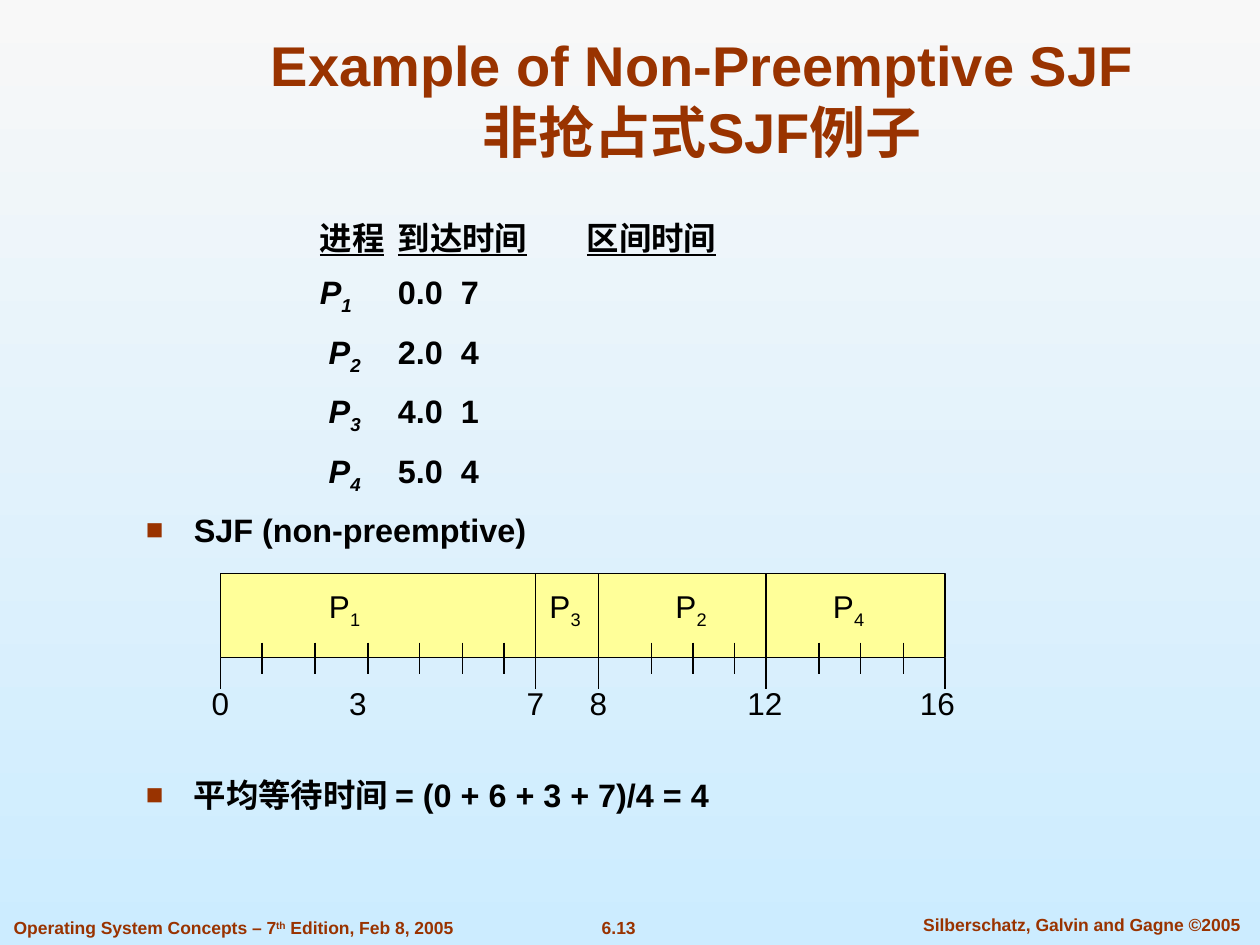
from lxml import etree
from pptx import Presentation
from pptx.dml.color import RGBColor
from pptx.enum.shapes import MSO_CONNECTOR, MSO_SHAPE
from pptx.enum.text import MSO_ANCHOR, MSO_AUTO_SIZE, PP_ALIGN
from pptx.oxml import parse_xml
from pptx.oxml.ns import nsdecls, qn
from pptx.util import Inches, Pt

BROWN, BLACK, YELLOW = "993300", "000000", "FFFF99"
color = RGBColor.from_string


def write(para, text, size, tint=BLACK, bold=False, shift=-25000):
    """Style a paragraph and fill it; every second piece between bars is raised or lowered."""
    font = para.font
    font.name, font.size, font.bold = "Arial", Pt(size), bold
    font.color.rgb = color(tint)
    for i, piece in enumerate(text.split("|")):
        run = para.add_run()
        run.text = piece
        if i % 2:
            run._r.get_or_add_rPr().set("baseline", str(shift))


def box(left, top, width, height, wrap=False, align=PP_ALIGN.CENTER):
    """Add a text box and return its first paragraph and its frame."""
    frame = slide.shapes.add_textbox(
        Inches(left), Inches(top), Inches(width), Inches(height)).text_frame
    frame.word_wrap = wrap
    frame.auto_size = MSO_AUTO_SIZE.NONE
    frame.vertical_anchor = MSO_ANCHOR.MIDDLE
    frame.paragraphs[0].alignment = align
    return frame.paragraphs[0], frame


deck = Presentation()
deck.slide_width, deck.slide_height = Inches(10), Inches(7.5)
slide = deck.slides.add_slide(deck.slide_layouts[6])

back = slide.background.fill
back.gradient()
back.gradient_angle = 270
for stop, tint, place in zip(back.gradient_stops, ("F8F8F8", "CCECFF"), (0, 1)):
    stop.color.rgb = color(tint)
    stop.position = place

# Footer
para, _ = box(4.42, 7.23, 0.98, 0.27)
write(para, "6.13", 10, BROWN, True)
para, _ = box(7.1, 7.2, 2.97, 0.27, True)
write(para, "Silberschatz, Galvin and Gagne ©2005", 10, BROWN, True)
para, _ = box(0.01, 7.23, 3.69, 0.27, align=PP_ALIGN.LEFT)
write(para, "Operating System Concepts – 7|th| Edition, Feb 8, 2005",
      10, BROWN, True, 30000)

# Title
para, _ = box(1.58, 0.15, 7.99, 1.25, True)
write(para, "Example of Non-Preemptive SJF", 32, BROWN, True)
para.add_line_break()
para.add_run().text = "非抢占式SJF例子"

# Process list, then the two bullets
para, body = box(1.06, 1.68, 7.77, 5.01, True, PP_ALIGN.LEFT)
body.vertical_anchor = MSO_ANCHOR.TOP
rows = ["进程|\t|到达时间|\t|区间时间", "P|1|\t0.0\t7", " P|2|\t2.0\t4",
        " P|3|\t4.0\t1", " P|4|\t5.0\t4"]
for i, row in enumerate(rows):
    if i:
        para = body.add_paragraph()
        para.space_before = Pt(8.8)
    props = para._p.get_or_add_pPr()
    props.set("marL", "0")
    props.set("indent", str(Inches(1.38)))
    tabs = etree.SubElement(props, qn("a:tabLst"))
    for place in (2.38, 3.38, 4.38):
        etree.SubElement(tabs, qn("a:tab"), pos=str(Inches(place)), algn="l")
    write(para, row, 18.5, bold=True, shift=-25000 if i else 0)
    if i:
        for run in para.runs[:2]:
            run.font.italic = True
    else:
        for run in para.runs[::2]:
            run.font.underline = True

for text, gap in (("SJF (non-preemptive)", 8.8),
                  ("平均等待时间 = (0 + 6 + 3 + 7)/4 = 4", 129)):
    para = body.add_paragraph()
    para.space_before = Pt(gap)
    props = para._p.get_or_add_pPr()
    props.set("marL", str(Inches(0.38)))
    props.set("indent", str(Inches(-0.38)))
    for xml in (f'<a:buClr {nsdecls("a")}><a:srgbClr val="{BROWN}"/></a:buClr>',
                f'<a:buSzPct {nsdecls("a")} val="90000"/>',
                f'<a:buFont {nsdecls("a")} typeface="Arial"/>',
                f'<a:buChar {nsdecls("a")} char="■"/>'):
        props.append(parse_xml(xml))
    write(para, text, 18.5, bold=True)

# Gantt chart
bar = slide.shapes.add_shape(
    MSO_SHAPE.RECTANGLE, Inches(1.75), Inches(4.55), Inches(5.75), Inches(0.67))
bar.shadow.inherit = False
bar.fill.solid()
bar.fill.fore_color.rgb = color(YELLOW)
bar.line.color.rgb = color(BLACK)
bar.line.width = Pt(0.75)

ends = (1.75, 4.25, 4.75, 6.08, 7.5)
ticks = (2.08, 2.5, 2.92, 3.33, 3.67, 4, 5.17, 5.5, 5.83, 6.5, 6.83, 7.17)
lines = [(x, 4.55, 5.22) for x in ends[1:-1]]
lines += [(x, 5.22, 5.47) for x in ends]
lines += [(x, 5.1, 5.35) for x in ticks]
for x, top, base in lines:
    line = slide.shapes.add_connector(
        MSO_CONNECTOR.STRAIGHT, Inches(x), Inches(top), Inches(x), Inches(base))
    line.line.color.rgb = color(BLACK)
    line.line.width = Pt(0.75)
    etree.SubElement(line._element.spPr, qn("a:effectLst"))

for name, left in (("P|1", 2.51), ("P|3", 4.26), ("P|2", 5.26), ("P|4", 6.51)):
    para, _ = box(left, 4.61, 0.45, 0.44)
    write(para, name, 18)

for time, left in ((0, 1.58), (3, 2.67), (7, 4.08), (8, 4.58), (12, 5.83), (16, 7.2)):
    para, _ = box(left, 5.38, 0.48 if time > 9 else 0.34, 0.4)
    write(para, str(time), 18)

deck.save("out.pptx")
